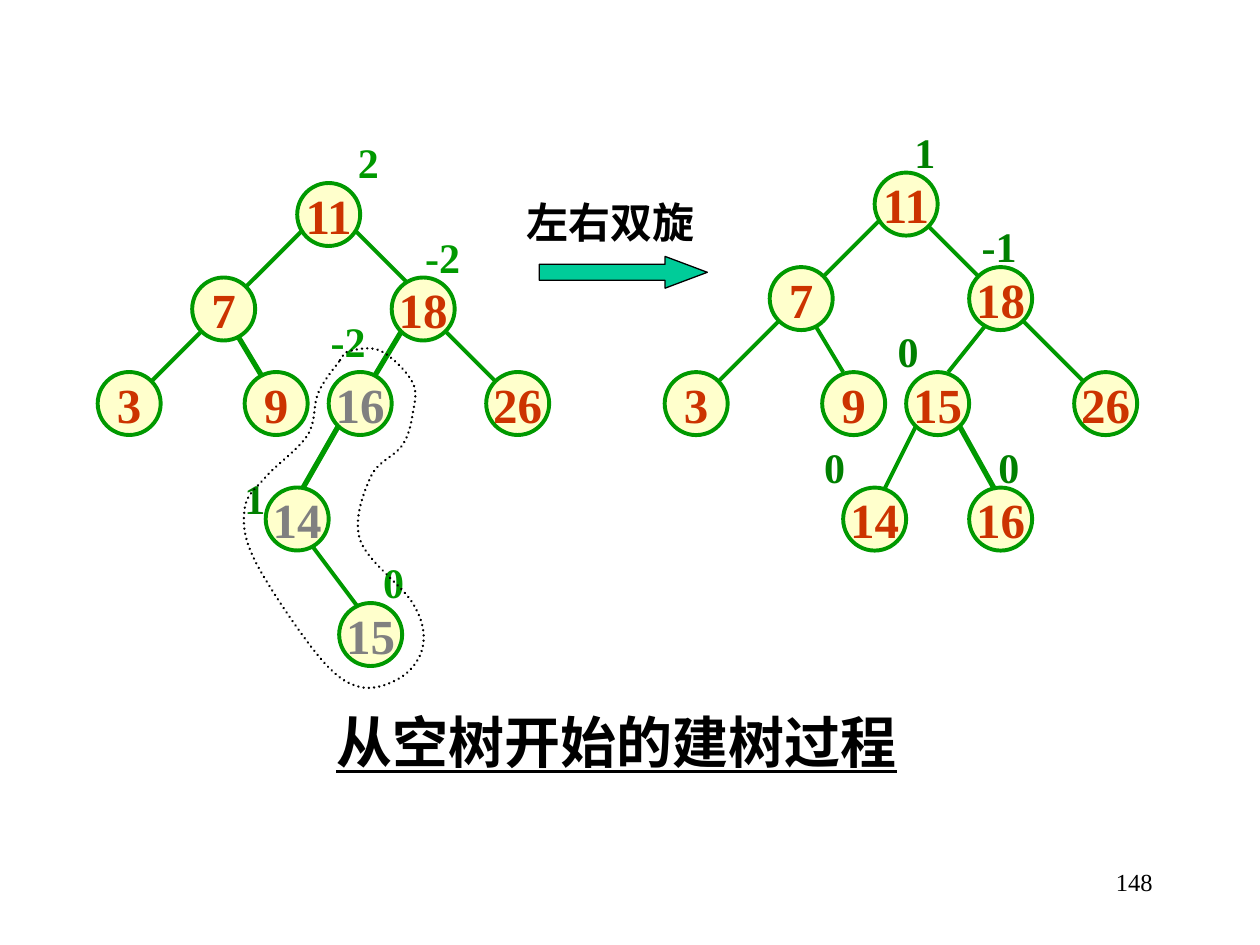
import dataclasses

import pptx
import pptx.dml.color
import pptx.enum.dml
import pptx.enum.shapes
import pptx.enum.text
import pptx.oxml
import pptx.oxml.ns
import pptx.util

Cm = pptx.util.Cm
ALIGN = pptx.enum.text.PP_ALIGN
ANCHOR = pptx.enum.text.MSO_ANCHOR
SHAPE = pptx.enum.shapes.MSO_SHAPE
GRID = 2.54 / 12
NODE_SIZE = 6


@dataclasses.dataclass(frozen=True)
class Theme:
    font: str = "Times New Roman"
    ink: str = "000000"
    edge: str = "009900"
    node: str = "FFFFCC"
    key: str = "CC3300"
    rotated: str = "808080"
    balance: str = "009900"
    balanced: str = "008000"
    arrow: str = "00CC99"
    title_size: float = 32
    key_size: float = 28
    label_size: float = 24
    number_size: float = 14
    thin: float = 2.25
    thick: float = 3


THEME = Theme()

LEFT_TREE = {
    "edges": [
        (21, 3, 14, 10, THEME.thin), (24, 4, 30, 10, THEME.thin),
        (11, 13, 3, 21, THEME.thin), (13, 14, 16, 19, THEME.thick),
        (29, 14, 26, 19, THEME.thick), (33, 14, 39, 20, THEME.thin),
        (23, 23, 19, 30, THEME.thick), (20, 34, 26, 42, THEME.thin),
    ],
    "nodes": [
        ("11", 19, 0, THEME.key), ("7", 9, 9, THEME.key),
        ("18", 28, 9, THEME.key), ("3", 0, 18, THEME.key),
        ("9", 14, 18, THEME.key), ("16", 22, 18, THEME.rotated),
        ("26", 37, 18, THEME.key), ("14", 16, 29, THEME.rotated),
        ("15", 23, 40, THEME.rotated),
    ],
    "balances": [
        ("2", 23.6, -5, THEME.balance), ("-2", 30, 4, THEME.balance),
        ("-2", 21, 12, THEME.balance), ("1", 12.8, 27, THEME.balanced),
        ("0", 26, 35, THEME.balance),
    ],
}

RIGHT_TREE = {
    "edges": [
        (21, 4, 14, 11, THEME.thin), (25, 5, 31, 11, THEME.thin),
        (11, 14, 5, 20, THEME.thin), (14, 14, 17, 19, THEME.thin),
        (31, 14, 27, 19, THEME.thin), (34, 14, 43, 23, THEME.thin),
        (24, 24, 20, 32, THEME.thin), (28, 24, 33, 33, THEME.thick),
    ],
    "nodes": [
        (key, column, row, THEME.key)
        for key, column, row in [
            ("11", 20, 0), ("7", 10, 9), ("18", 29, 9), ("3", 0, 19),
            ("9", 15, 19), ("15", 23, 19), ("26", 39, 19),
            ("14", 17, 30), ("16", 29, 30),
        ]
    ],
    "balances": [
        (value, column, row, THEME.balanced)
        for value, column, row in [
            ("1", 22.6, -5), ("-1", 29, 4), ("0", 21, 14),
            ("0", 14, 25), ("0", 30.6, 25),
        ]
    ],
}

ROTATION_LOOP = [
    (23, 17), (21, 20), (20, 24), (16, 28), (14, 31), (15, 36),
    (21, 45), (25, 48), (29, 47), (31, 44), (30, 40), (25, 34),
    (26, 28), (29, 25), (30, 22), (30, 19), (27, 16), (24, 16),
]


def rgb(value):
    return pptx.dml.color.RGBColor.from_string(value)


def write(shape, text, size, color, bold=True, underline=None,
          align=ALIGN.LEFT, anchor=ANCHOR.TOP, wrap=True):
    frame = shape.text_frame
    frame.auto_size = pptx.enum.text.MSO_AUTO_SIZE.NONE
    frame.word_wrap = wrap
    frame.vertical_anchor = anchor
    para = frame.paragraphs[0]
    para.alignment = align
    span = para.add_run()
    span.text = text
    span.font.name = THEME.font
    span.font.size = pptx.util.Pt(size)
    span.font.bold = bold
    span.font.underline = underline
    span.font.color.rgb = rgb(color)


def add_text(page, box, text, size, color, **options):
    shape = page.shapes.add_textbox(*map(Cm, box))
    write(shape, text, size, color, **options)


def style(shape, fill, line, width):
    shape.shadow.inherit = False
    if fill:
        shape.fill.solid()
        shape.fill.fore_color.rgb = rgb(fill)
    else:
        shape.fill.background()
    shape.line.color.rgb = rgb(line)
    shape.line.width = pptx.util.Pt(width)


def place_tree(page, box, tree):
    left, top = box[:2]

    def at(column, row):
        return left + column * GRID, top + row * GRID

    for x1, y1, x2, y2, width in tree["edges"]:
        edge = page.shapes.add_connector(
            pptx.enum.shapes.MSO_CONNECTOR.STRAIGHT,
            *map(Cm, at(x1, y1) + at(x2, y2)))
        edge.line.color.rgb = rgb(THEME.edge)
        edge.line.width = pptx.util.Pt(width)
        properties = edge._element.find(pptx.oxml.ns.qn("p:spPr"))
        properties.append(pptx.oxml.parse_xml(
            "<a:effectLst %s/>" % pptx.oxml.ns.nsdecls("a")))
    size = NODE_SIZE * GRID
    for key, column, row, color in tree["nodes"]:
        node = page.shapes.add_shape(
            SHAPE.OVAL, *map(Cm, at(column, row) + (size, size)))
        style(node, THEME.node, THEME.edge, THEME.thin)
        write(node, key, THEME.key_size, color, align=ALIGN.CENTER,
              anchor=ANCHOR.MIDDLE, wrap=False)
    for value, column, row, color in tree["balances"]:
        width = 0.94 if len(value) == 1 else 1.6
        add_text(page, at(column, row) + (width, 1.27), value,
                 THEME.label_size, color)


def bend_segments(loop):
    qn = pptx.oxml.ns.qn
    lines = list(loop._element.iter(qn("a:lnTo")))
    points = [(int(line[0].get("x")), int(line[0].get("y"))) for line in lines]
    count = len(points)
    for index, line in enumerate(lines):
        before, start, end, after = (
            points[(index + shift) % count] for shift in (-2, -1, 0, 1))
        controls = [
            [s + (e - b) / 6 for b, s, e in zip(before, start, end)],
            [e - (a - s) / 6 for s, e, a in zip(start, end, after)],
            end,
        ]
        marks = "".join('<a:pt x="%d" y="%d"/>' % tuple(map(round, control))
                        for control in controls)
        curve = pptx.oxml.parse_xml("<a:cubicBezTo %s>%s</a:cubicBezTo>" % (
            pptx.oxml.ns.nsdecls("a"), marks))
        line.getparent().replace(line, curve)


def place_loop(page, box, points):
    left, top = box[:2]
    corners = [(Cm(left + x * GRID), Cm(top + y * GRID)) for x, y in points]
    builder = page.shapes.build_freeform(*corners[0])
    builder.add_line_segments(corners[1:] + corners[:1], close=True)
    loop = builder.convert_to_shape()
    bend_segments(loop)
    style(loop, None, THEME.ink, 1.5)
    loop.line.dash_style = pptx.enum.dml.MSO_LINE.ROUND_DOT
    next(loop._element.iter(pptx.oxml.ns.qn("a:ln"))).set("cap", "rnd")


def place_step(page, box, text):
    left, top, width, height = box
    add_text(page, (left, top, width, 1.27), text, THEME.label_size, THEME.ink)
    arrow = page.shapes.add_shape(
        SHAPE.RIGHT_ARROW, Cm(left + 0.51), Cm(top + height - 0.64),
        Cm(3.39), Cm(0.64))
    arrow.adjustments[0] = 0.5
    arrow.adjustments[1] = 1.33
    style(arrow, THEME.arrow, THEME.ink, 0.75)


def place_title(page, box, text):
    title = page.shapes.title
    title.left, title.top, title.width, title.height = map(Cm, box)
    write(title, text, THEME.title_size, THEME.ink, underline=True)


def main():
    deck = pptx.Presentation()
    deck.slide_width, deck.slide_height = Cm(25.4), Cm(19.05)
    page = deck.slides.add_slide(deck.slide_layouts[5])
    left_box = (1.97, 3.69, 9.1, 9.74)
    place_tree(page, left_box, LEFT_TREE)
    place_tree(page, (13.4, 3.48, 9.53, 7.62), RIGHT_TREE)
    place_loop(page, left_box, ROTATION_LOOP)
    place_step(page, (10.36, 3.84, 4.2, 1.97), "左右双旋")
    place_title(page, (6.52, 14.13, 12.09, 1.6), "从空树开始的建树过程")
    add_text(page, (18.21, 17.35, 5.28, 1.27), "148", THEME.number_size,
             THEME.ink, bold=False, align=ALIGN.RIGHT)
    deck.save("out.pptx")


if __name__ == "__main__":
    main()
